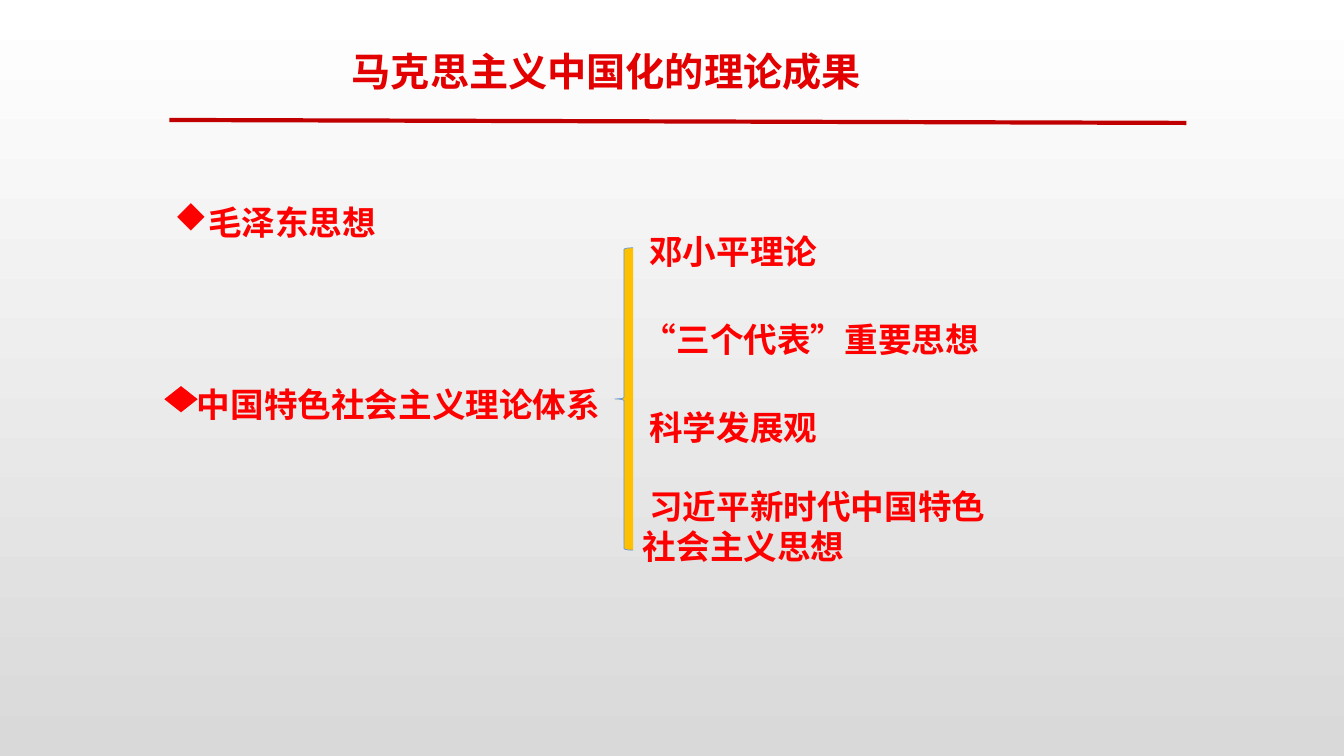
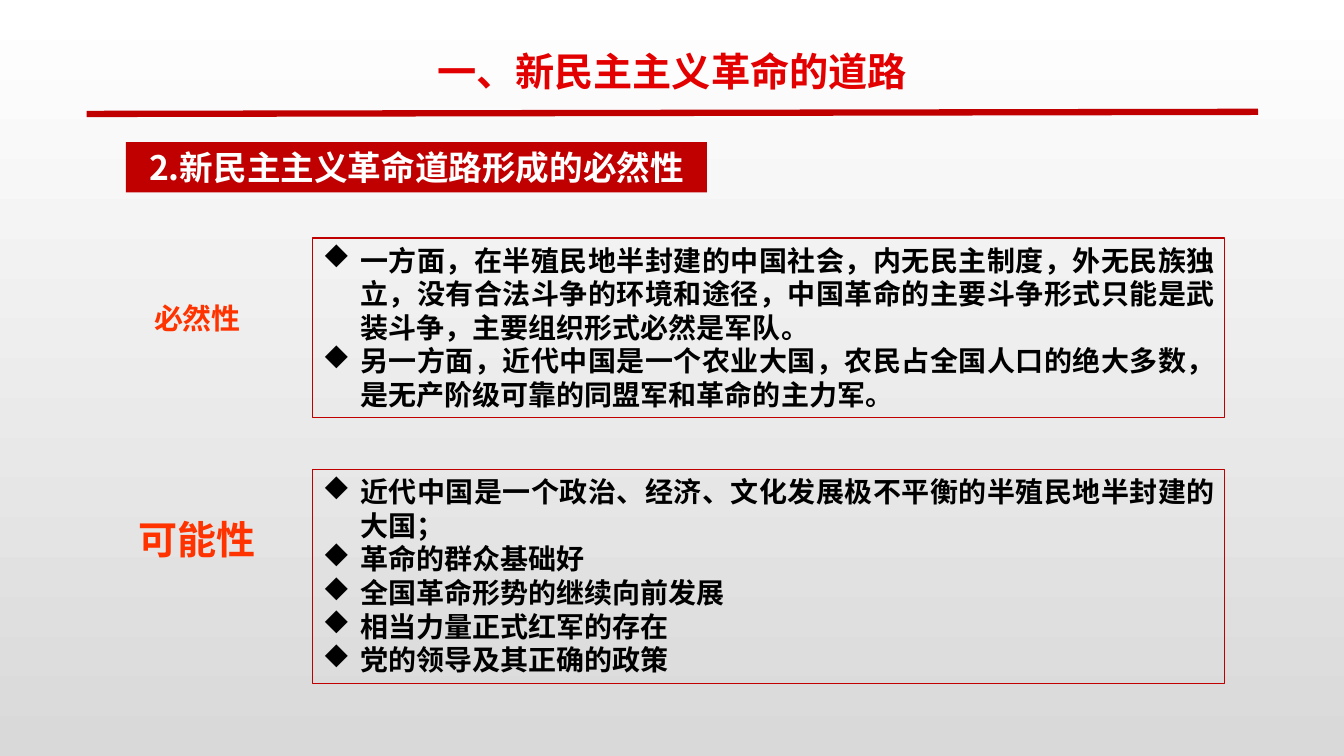
import dataclasses

import lxml.etree
import pptx
import pptx.dml.color
import pptx.enum.shapes
import pptx.enum.text
import pptx.oxml.ns
import pptx.util

Pt = pptx.util.Pt
Shape = pptx.enum.shapes.MSO_SHAPE
Align = pptx.enum.text.PP_ALIGN
Anchor = pptx.enum.text.MSO_ANCHOR
rgb = pptx.dml.color.RGBColor.from_string
qn = pptx.oxml.ns.qn


@dataclasses.dataclass(frozen=True)
class Theme:
    heading_font: str = "Noto Sans CJK SC"
    body_font: str = "Arial"
    title: str = "E30000"
    item: str = "FF0000"
    label: str = "FF3300"
    band: str = "C00000"
    brace: str = "FFC000"
    brace_edge: str = "6096E6"
    text: str = "000000"
    white: str = "FFFFFF"
    page_end: str = "D9D9D9"
    title_size: float = 28
    item_size: float = 24
    body_size: float = 20


THEME = Theme()


def place(shape, left, top, width, height):
    for side, points in dict(left=left, top=top, width=width, height=height).items():
        setattr(shape, side, Pt(points))


def write(shape, lines, size, color, font=THEME.heading_font, anchor=Anchor.TOP, **paragraph_format):
    """Fill a shape with (text, margin, indent) lines; a negative indent hangs a diamond bullet."""
    frame = shape.text_frame
    frame.word_wrap = True
    frame.auto_size = pptx.enum.text.MSO_AUTO_SIZE.NONE
    frame.vertical_anchor = anchor
    for number, (text, margin, indent) in enumerate(lines):
        paragraph = frame.add_paragraph() if number else frame.paragraphs[0]
        properties = paragraph._p.get_or_add_pPr()
        properties.set("marL", str(Pt(margin)))
        properties.set("indent", str(Pt(indent)))
        if indent < 0:
            lxml.etree.SubElement(properties, qn("a:buFont"), typeface="Wingdings")
            lxml.etree.SubElement(properties, qn("a:buChar"), char="u")
        else:
            lxml.etree.SubElement(properties, qn("a:buNone"))
        for name, value in (dict(space_before=Pt(0)) | paragraph_format).items():
            setattr(paragraph, name, value)
        run = paragraph.add_run()
        run.text = text
        for name, value in dict(size=Pt(size), bold=True, name=font).items():
            setattr(run.font, name, value)
        run.font.color.rgb = rgb(color)
        lxml.etree.SubElement(run._r.get_or_add_rPr(), qn("a:ea"), typeface=THEME.heading_font)


deck = pptx.Presentation()
deck.slide_width, deck.slide_height = Pt(960), Pt(540)

page_fill = deck.slide_master.background.fill
page_fill.gradient()
page_fill.gradient_angle = 270
for stop, color in zip(page_fill.gradient_stops, (THEME.white, THEME.page_end)):
    stop.color.rgb = rgb(color)

# Shared frame: layout, title, title centre, rule ends and rule weight
pages = []
for layout, title, centre, start, end, weight in (
    (1, "马克思主义中国化的理论成果", 433, (121, 85.7), (847.4, 87.8), 3),
    (3, "一、新民主主义革命的道路", 480, (61.9, 81.4), (898.6, 79.9), 4.5),
):
    page = deck.slides.add_slide(deck.slide_layouts[layout])
    place(page.shapes.title, centre - 232, 13.3, 464, 58)
    write(page.shapes.title, [(title, 0, 0)], THEME.title_size, THEME.title,
          alignment=Align.CENTER, line_spacing=1.5)
    rule = page.shapes.add_connector(
        pptx.enum.shapes.MSO_CONNECTOR.STRAIGHT, *map(Pt, start + end))
    rule.line.color.rgb = rgb(THEME.band)
    rule.line.width = Pt(weight)
    lxml.etree.SubElement(rule._element.spPr, qn("a:effectLst"))
    pages.append(page)
results, road = pages

# Slide 1: theories and the branches of the second one
theories = results.placeholders[1]
place(theories, 117.4, 126, 360, 181.4)
write(theories, [("毛泽东思想", 24, -24), ("中国特色社会主义理论体系", 16, 0)],
      THEME.item_size, THEME.item, line_spacing=1.5)
theories.text_frame.paragraphs[1].space_before = Pt(87)

diamond = results.shapes.add_shape(
    Shape.FLOWCHART_DECISION, Pt(117.4), Pt(275.8), Pt(23.8), Pt(18.7))
brace = results.shapes.add_shape(Shape.LEFT_BRACE, Pt(439.2), Pt(177), Pt(13), Pt(216))
for mark, color in ((diamond, THEME.item), (brace, THEME.brace)):
    mark.shadow.inherit = False
    mark.fill.solid()
    mark.fill.fore_color.rgb = rgb(color)
diamond.line.fill.background()
brace.line.color.rgb = rgb(THEME.brace_edge)
brace.line.width = Pt(0.5)

for branch, top, height, indent in (
    ("邓小平理论", 161.3, 36, 4.5),
    ("“三个代表”重要思想", 224, 36, 0),
    ("科学发展观", 287.3, 36, 4.5),
    ("习近平新时代中国特色社会主义思想", 343.4, 65.5, 4.5),
):
    branch_box = results.shapes.add_textbox(Pt(452.2), Pt(top), Pt(271.4), Pt(height))
    write(branch_box, [(branch, 0, indent)], THEME.item_size, THEME.item)

# Slide 2: section band, then a label and a framed list for each argument
band = road.shapes.add_shape(Shape.RECTANGLE, Pt(90), Pt(101.5), Pt(415), Pt(36))
band.shadow.inherit = False
band.fill.solid()
band.fill.fore_color.rgb = rgb(THEME.band)
band.line.fill.background()
write(band, [("2.新民主主义革命道路形成的必然性", 0, 0)], THEME.item_size, THEME.white,
      anchor=Anchor.MIDDLE, alignment=Align.CENTER)

for slot, label, label_size, label_top, top, height, reasons in (
    (1, "必然性", 20.7, 211, 170, 128, (
        "一方面，在半殖民地半封建的中国社会，内无民主制度，外无民族独立，没有合法斗争的环境和途径，"
        "中国革命的主要斗争形式只能是武装斗争，主要组织形式必然是军队。",
        "另一方面，近代中国是一个农业大国，农民占全国人口的绝大多数，是无产阶级可靠的同盟军和革命的主力军。",
    )),
    (2, "可能性", 27.9, 364.3, 335.5, 152.8, (
        "近代中国是一个政治、经济、文化发展极不平衡的半殖民地半封建的大国；",
        "革命的群众基础好",
        "全国革命形势的继续向前发展",
        "相当力量正式红军的存在",
        "党的领导及其正确的政策",
    )),
):
    label_box = road.shapes.add_textbox(Pt(90), Pt(label_top), Pt(102), Pt(37.5))
    write(label_box, [(label, 0, 0)], label_size, THEME.label, alignment=Align.CENTER)
    reason_list = road.placeholders[slot]
    place(reason_list, 223.2, top, 651.6, height)
    reason_list.line.color.rgb = rgb(THEME.band)
    reason_list.line.width = Pt(0.75)
    write(reason_list, [(reason, 27, -27) for reason in reasons], THEME.body_size, THEME.text,
          font=THEME.body_font, alignment=Align.JUSTIFY)

deck.save("out.pptx")
